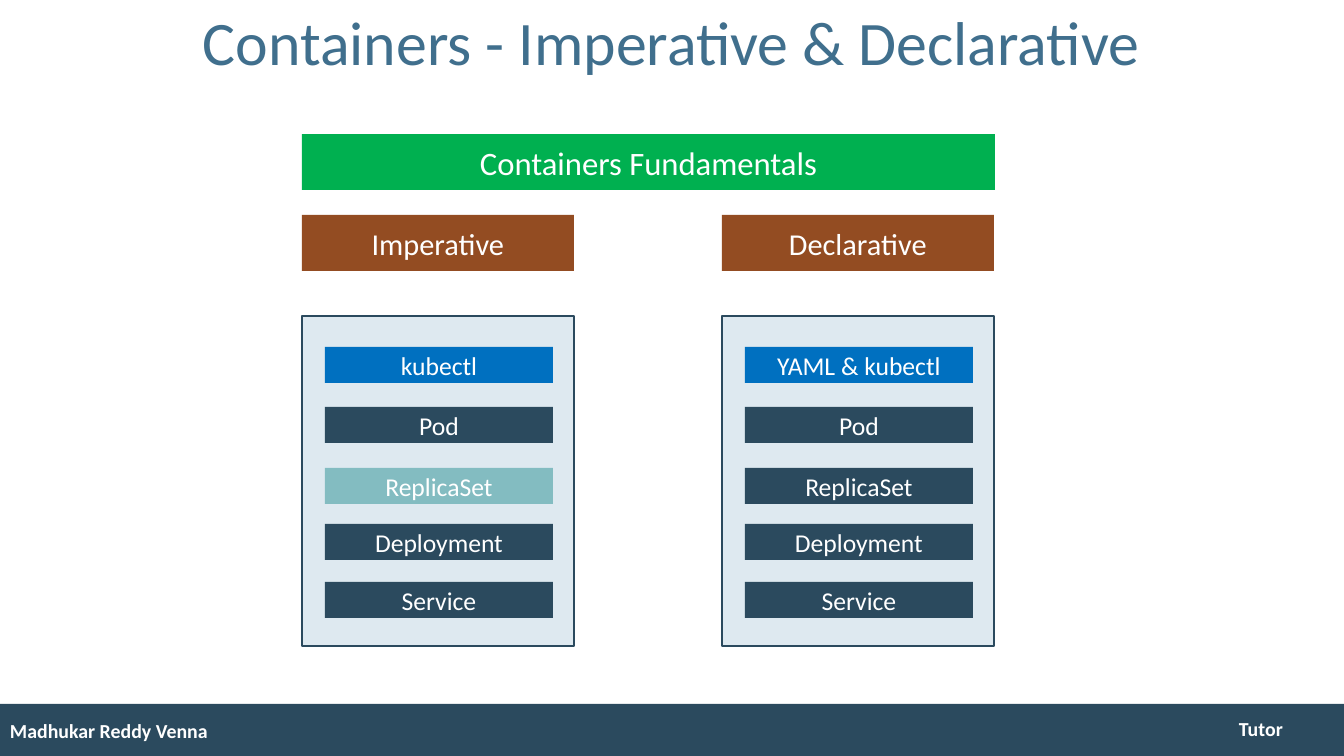
import pptx
import pptx.dml.color
import pptx.enum.shapes
import pptx.enum.text
import pptx.util

PX = pptx.util.Inches(1) // 84
FONT = "Calibri"
COLORS = {
    "navy": "2B4A5E",
    "title": "406F8D",
    "panel": "DEE9F0",
    "tool": "0070C0",
    "highlight": "83BCC1",
    "course": "00B050",
    "approach": "934C22",
    "white": "FFFFFF",
}
ITEM_TOPS = [31, 91, 152, 208, 266]
RESOURCES = ["Pod", "ReplicaSet", "Deployment", "Service"]


def rgb(name):
    return pptx.dml.color.RGBColor.from_string(COLORS[name])


def px(*lengths):
    return [length * PX for length in lengths]


def write(shape, text, size, color="white", bold=False, centered=True):
    frame = shape.text_frame
    frame.word_wrap = True
    frame.auto_size = pptx.enum.text.MSO_AUTO_SIZE.NONE
    frame.vertical_anchor = pptx.enum.text.MSO_ANCHOR.MIDDLE
    frame.margin_left = frame.margin_right = 10 * PX
    frame.margin_top = frame.margin_bottom = 5 * PX
    paragraph = frame.paragraphs[0]
    alignment = pptx.enum.text.PP_ALIGN
    paragraph.alignment = alignment.CENTER if centered else alignment.LEFT
    run = paragraph.add_run()
    run.text = text
    run.font.name = FONT
    run.font.size = pptx.util.Pt(size)
    run.font.bold = bold
    run.font.color.rgb = rgb(color)
    return paragraph


def add_bar(slide, box, fill, text=None, size=22, outline=None):
    shape = slide.shapes.add_shape(
        pptx.enum.shapes.MSO_SHAPE.RECTANGLE, *px(*box))
    shape.shadow.inherit = False
    shape.fill.solid()
    shape.fill.fore_color.rgb = rgb(fill)
    if outline:
        shape.line.color.rgb = rgb(outline)
        shape.line.width = pptx.util.Pt(2)
    else:
        shape.line.fill.background()
    if text:
        write(shape, text, size)


def add_title(slide, box, text):
    title = slide.shapes.title
    title.left, title.top, title.width, title.height = px(*box)
    write(title, text, 53, "title").line_spacing = 0.9


def add_footer(slide, box, author, school):
    left, top, width, height = box
    add_bar(slide, box, "navy")
    labels = [
        (author, (left, top + 7, 454, 40), False),
        (school, (left + width - 163, top + 5, 160, 40), True),
    ]
    for text, label_box, centered in labels:
        label = slide.shapes.add_textbox(*px(*label_box))
        write(label, text, 17, bold=True, centered=centered)


def add_approach(slide, box, heading, tool, highlighted=None):
    """Draw a heading above a panel that lists the tool and the resources."""
    left, top, width, height = box
    add_bar(slide, (left, top, width, 56), "approach", heading, 26)
    panel_top = top + 101
    add_bar(slide, (left, panel_top, width, height - 101), "panel",
            outline="navy")
    for offset, item in zip(ITEM_TOPS, [tool] + RESOURCES):
        if item == tool:
            fill = "tool"
        else:
            fill = "highlight" if item == highlighted else "navy"
        add_bar(slide, (left + 23, panel_top + offset, width - 44, 36),
                fill, item)


def main():
    presentation = pptx.Presentation()
    presentation.slide_width = pptx.util.Inches(16)
    presentation.slide_height = pptx.util.Inches(9)
    slide = presentation.slides.add_slide(presentation.slide_layouts[5])

    add_footer(slide, (0, 704, 1344, 52), "Madhukar Reddy Venna", "Tutor")
    add_title(slide, (92, -9, 1159, 109),
              "Containers - Imperative & Declarative")
    add_bar(slide, (302, 134, 693, 56), "course",
            "Containers Fundamentals", 28)
    add_approach(slide, (302, 215, 272, 431), "Imperative", "kubectl",
                 highlighted="ReplicaSet")
    add_approach(slide, (722, 215, 272, 431), "Declarative",
                 "YAML & kubectl")
    presentation.save("out.pptx")


if __name__ == "__main__":
    main()
